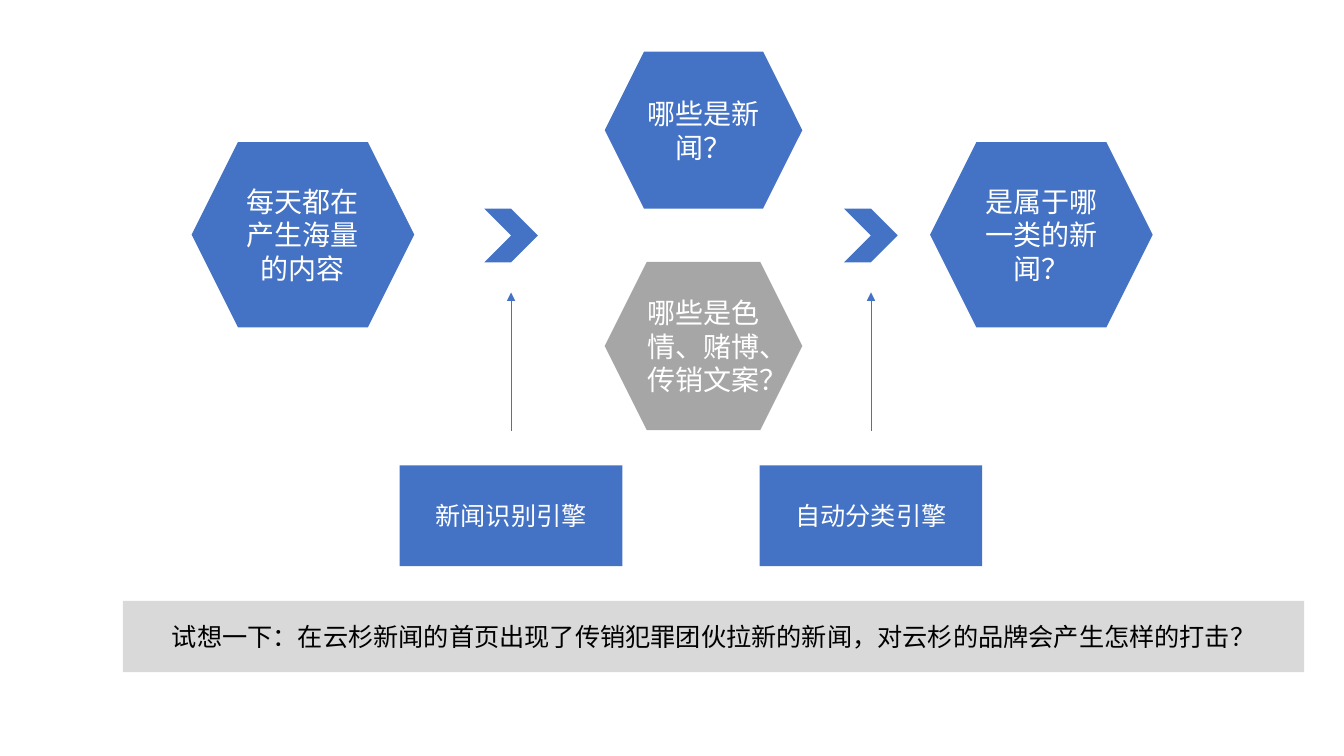
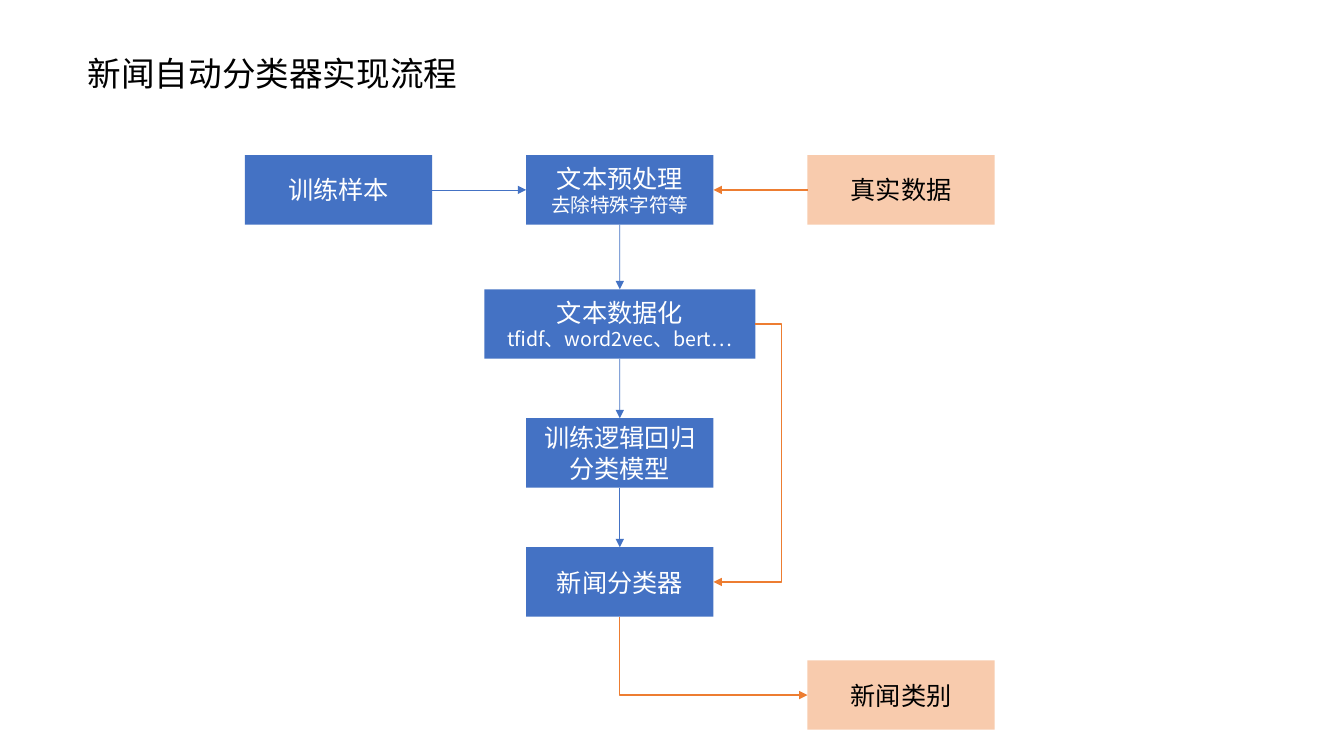
from lxml import etree
from pptx import Presentation
from pptx.dml.color import RGBColor
from pptx.enum import shapes, text
from pptx.oxml.ns import qn
from pptx.util import Cm, Pt

FONT = "Noto Sans CJK SC"
BLUE, ORANGE, PEACH = "4472C4", "ED7D31", "F8CBAD"
GREY, PALE, WHITE, BLACK = "A6A6A6", "D9D9D9", "FFFFFF", "000000"
MSO = shapes.MSO_SHAPE
LINE = shapes.MSO_CONNECTOR
TOP, LEFT, BOTTOM, RIGHT = range(4)

# Slide 1: left, top, width, height in cm
HEXAGONS = [
    ("每天都在产生海量的内容", (4.83, 3.58, 5.61, 4.67), BLUE),
    ("哪些是新闻？", (15.24, 1.3, 4.98, 3.96), BLUE),
    ("哪些是色情、赌博、传销文案？", (15.24, 6.6, 4.98, 4.24), GREY),
    ("是属于哪一类的新闻？", (23.44, 3.58, 5.61, 4.67), BLUE),
]
ENGINES = [("新闻识别引擎", 12.88), ("自动分类引擎", 21.95)]  # text, centre x
CHEVRON, CHEVRON_TOP = 1.35, 5.26
ENGINE_W, ENGINE_H, ENGINE_TOP = 5.61, 2.54, 11.73
ARROW_FROM, ARROW_TO = 10.85, 7.37
QUESTION = "试想一下：在云杉新闻的首页出现了传销犯罪团伙拉新的新闻，对云杉的品牌会产生怎样的打击？"

# Slide 2: name, lines of text, column, top, width, fill, text colour
TITLE = "新闻自动分类器实现流程"
COLUMNS = [8.53 + 7.09 * i for i in range(3)]  # centres
BOX_W, WIDE_W, BOX_H = 4.72, 6.83, 1.75
STEPS = [
    ("samples", ["训练样本"], 0, 3.91, BOX_W, BLUE, WHITE),
    ("clean", ["文本预处理", "去除特殊字符等"], 1, 3.91, BOX_W, BLUE, WHITE),
    ("real", ["真实数据"], 2, 3.91, BOX_W, PEACH, BLACK),
    ("vectors", ["文本数据化", "tfidf、word2vec、bert…"], 1, 7.29, WIDE_W, BLUE, WHITE),
    ("train", ["训练逻辑回归分类模型"], 1, 10.54, BOX_W, BLUE, WHITE),
    ("classifier", ["新闻分类器"], 1, 13.79, BOX_W, BLUE, WHITE),
    ("category", ["新闻类别"], 2, 16.64, BOX_W, PEACH, BLACK),
]
LINKS = [
    ("samples", RIGHT, "clean", LEFT, BLUE, 0.5),
    ("real", LEFT, "clean", RIGHT, ORANGE, 1),
    ("clean", BOTTOM, "vectors", TOP, BLUE, 0.5),
    ("vectors", BOTTOM, "train", TOP, BLUE, 0.5),
    ("train", BOTTOM, "classifier", TOP, BLUE, 0.5),
]
BYPASS_X = 19.69


def rgb(hex_color):
    return RGBColor.from_string(hex_color)


def write(sp, lines, sizes, color, align=text.PP_ALIGN.CENTER):
    tf = sp.text_frame
    tf.word_wrap = True
    tf.vertical_anchor = text.MSO_ANCHOR.MIDDLE
    for i, (line, size) in enumerate(zip(lines, sizes)):
        p = tf.add_paragraph() if i else tf.paragraphs[0]
        p.text = line
        p.alignment = align
        f = p.font
        f.size, f.name = Pt(size), FONT
        f.color.rgb = rgb(color)
        # East Asian text takes its typeface from a:ea
        etree.SubElement(f._element, qn("a:ea"), typeface=FONT)


def add_box(s, kind, box, fill, lines=(), sizes=(18, 14), color=WHITE):
    sp = s.shapes.add_shape(kind, *map(Cm, box))
    sp.shadow.inherit = False
    sp.fill.solid()
    sp.fill.fore_color.rgb = rgb(fill)
    sp.line.fill.background()
    write(sp, lines, sizes, color)
    return sp


def add_arrow(s, start, end, color, width, kind=LINE.STRAIGHT):
    cn = s.shapes.add_connector(kind, *map(int, (*start, *end)))
    cn.line.color.rgb = rgb(color)
    cn.line.width = Pt(width)
    etree.SubElement(cn.line._get_or_add_ln(), qn("a:tailEnd"), type="triangle")
    etree.SubElement(cn._element.spPr, qn("a:effectLst"))
    return cn


def side(sp, n):
    """Middle of a side, numbered as the connection sites are."""
    x, y = sp.left + sp.width / 2, sp.top + sp.height / 2
    return [(x, sp.top), (sp.left, y), (x, sp.top + sp.height), (sp.left + sp.width, y)][n]


def add_bypass(s, start, end, bend_x):
    """Elbow that runs out to bend_x and back."""
    cn = add_arrow(s, start, end, ORANGE, 1, LINE.ELBOW)
    ratio = (bend_x - start[0]) / (end[0] - start[0])
    guides = cn._element.spPr.find(qn("a:prstGeom")).get_or_add_avLst()
    etree.SubElement(guides, qn("a:gd"), name="adj1", fmla=f"val {round(ratio * 100000)}")


def add_corner(s, start, end):
    """Elbow that goes down, then right: a mirrored one-bend line on a quarter turn."""
    (x1, y1), (x2, y2) = start, end
    cx, cy, dx, dy = (x1 + x2) / 2, (y1 + y2) / 2, (x2 - x1) / 2, (y2 - y1) / 2
    cn = add_arrow(s, (cx + dy, cy - dx), (cx - dy, cy + dx), ORANGE, 1, LINE.ELBOW)
    spPr = cn._element.spPr
    spPr.find(qn("a:prstGeom")).set("prst", "bentConnector2")
    spPr.find(qn("a:xfrm")).set("rot", str(270 * 60000))


def build_problem(s):
    for label, box, fill in HEXAGONS:
        add_box(s, MSO.HEXAGON, box, fill, [label], [20])
    for label, x in ENGINES:
        add_box(s, MSO.CHEVRON, (x - CHEVRON / 2, CHEVRON_TOP, CHEVRON, CHEVRON), BLUE)
        add_arrow(s, (Cm(x), Cm(ARROW_FROM)), (Cm(x), Cm(ARROW_TO)), BLUE, 0.5)
        add_box(s, MSO.RECTANGLE, (x - ENGINE_W / 2, ENGINE_TOP, ENGINE_W, ENGINE_H),
                BLUE, [label])
    add_box(s, MSO.RECTANGLE, (3.1, 15.14, 29.77, 1.8), PALE, [QUESTION], color=BLACK)


def build_flow(s):
    title = s.shapes.add_textbox(Cm(1.96), Cm(0.56), Cm(18.77), Cm(2.54))
    write(title, [TITLE], [24], BLACK, text.PP_ALIGN.LEFT)
    steps = {}
    for name, lines, col, top, width, fill, color in STEPS:
        box = (COLUMNS[col] - width / 2, top, width, BOX_H)
        steps[name] = add_box(s, MSO.RECTANGLE, box, fill, lines, color=color)
    for a, a_side, b, b_side, color, width in LINKS:
        cn = add_arrow(s, side(steps[a], a_side), side(steps[b], b_side), color, width)
        cn.begin_connect(steps[a], a_side)
        cn.end_connect(steps[b], b_side)
    classifier = steps["classifier"]
    add_bypass(s, side(steps["vectors"], RIGHT), side(classifier, RIGHT), Cm(BYPASS_X))
    add_corner(s, side(classifier, BOTTOM), side(steps["category"], LEFT))


def main():
    prs = Presentation()
    prs.slide_width, prs.slide_height = Cm(33.87), Cm(19.05)
    for build in (build_problem, build_flow):
        build(prs.slides.add_slide(prs.slide_layouts[6]))
    prs.save("out.pptx")


if __name__ == "__main__":
    main()
